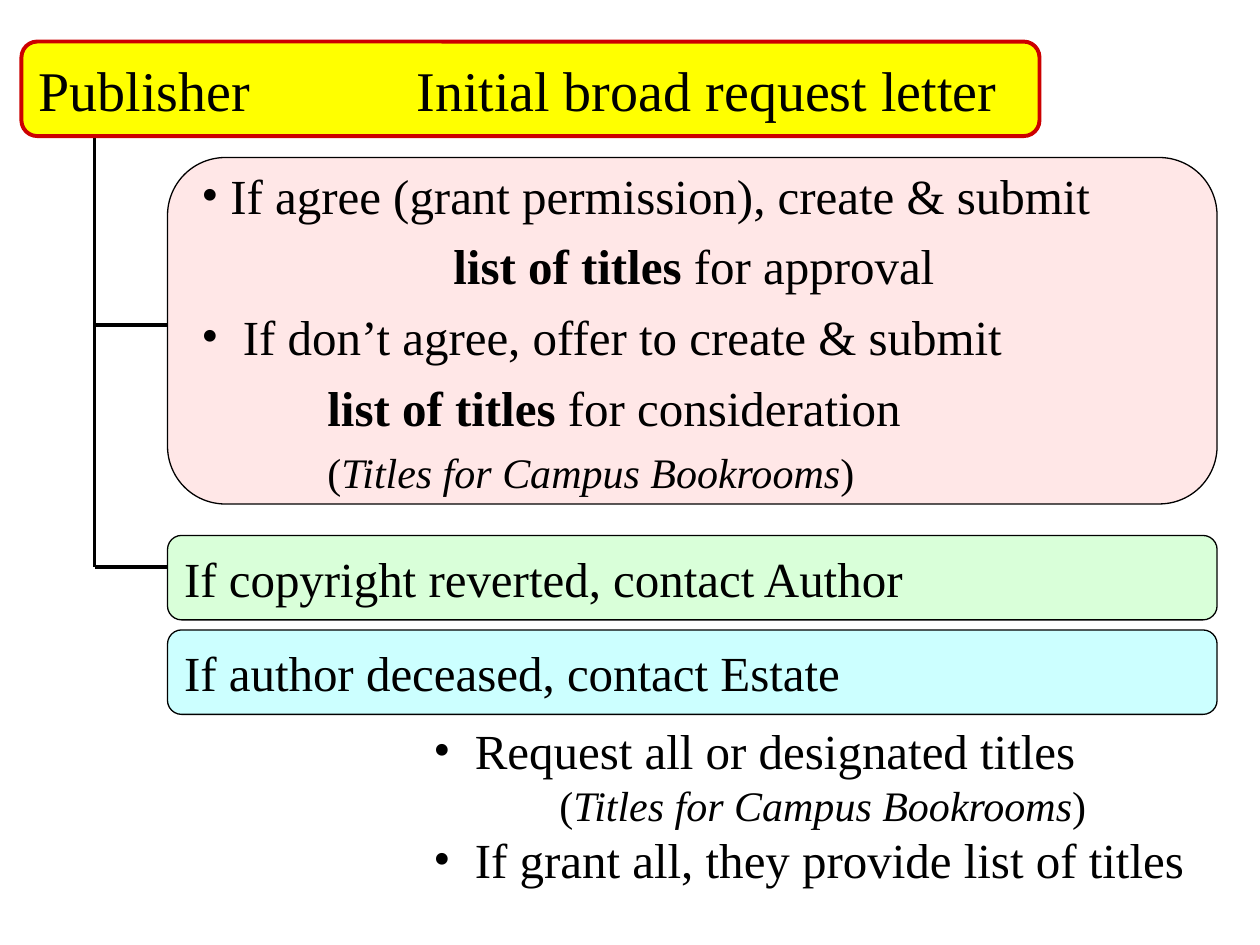
from pptx import Presentation
from pptx.dml.color import RGBColor
from pptx.enum.shapes import MSO_CONNECTOR, MSO_SHAPE
from pptx.enum.text import MSO_ANCHOR, PP_ALIGN
from pptx.oxml.ns import qn
from pptx.util import Inches, Pt
from lxml import etree

ROUNDED = MSO_SHAPE.ROUNDED_RECTANGLE
STRAIGHT = MSO_CONNECTOR.STRAIGHT
MIDDLE = MSO_ANCHOR.MIDDLE
LEFT = PP_ALIGN.LEFT

BLACK = RGBColor(0x00, 0x00, 0x00)
RED = RGBColor(0xCC, 0x00, 0x00)
YELLOW = RGBColor(0xFF, 0xFF, 0x00)
PINK = RGBColor(0xFF, 0xE7, 0xE7)
GREEN = RGBColor(0xD9, 0xFF, 0xD9)
CYAN = RGBColor(0xCC, 0xFF, 0xFF)
FONT = "Times New Roman"


def add_run(p, text, size, bold=False, italic=False):
    r = p.add_run()
    r.text = text
    r.font.name = FONT
    r.font.size = Pt(size)
    r.font.bold = bold
    r.font.italic = italic
    r.font.color.rgb = BLACK


def add_notes_box(s, left, top, width, height, spacing, lines):
    """Each line is (indent in inches, has bullet, size, runs)."""
    tf = s.shapes.add_textbox(Inches(left), Inches(top), Inches(width), Inches(height)).text_frame
    tf.word_wrap = True
    for i, (indent, bullet, size, runs) in enumerate(lines):
        p = tf.paragraphs[0] if i == 0 else tf.add_paragraph()
        p.line_spacing = spacing
        pPr = p._p.get_or_add_pPr()
        pPr.set("marL", str(Inches(indent)))
        pPr.set("indent", str(-Inches(indent) if bullet else 0))
        if bullet:
            etree.SubElement(pPr, qn("a:buFont")).set("typeface", FONT)
            etree.SubElement(pPr, qn("a:buChar")).set("char", "•")
        for text, bold, italic in runs:
            add_run(p, text, size, bold, italic)


prs = Presentation()
prs.slide_width = Inches(10)
prs.slide_height = Inches(7.5)
s = prs.slides.add_slide(prs.slide_layouts[6])

# Tree lines: trunk and two branches, behind the boxes
for x1, y1, x2, y2 in [
    (0.75, 1.08, 0.75, 4.5),
    (0.75, 2.58, 1.58, 2.58),
    (0.75, 4.5, 1.58, 4.5),
]:
    line = s.shapes.add_connector(STRAIGHT, Inches(x1), Inches(y1), Inches(x2), Inches(y2))
    line.line.color.rgb = BLACK
    line.line.width = Pt(2.25)
    etree.SubElement(line._element.spPr, qn("a:effectLst"))

# Rounded boxes
for left, top, width, height, fill, edge, weight, size, text in [
    (0.17, 0.33, 8.08, 0.75, YELLOW, RED, 2.25, 32, "Publisher\tInitial broad request letter"),
    (1.33, 1.25, 8.33, 2.75, PINK, BLACK, 0.75, 28, ""),
    (1.33, 4.25, 8.33, 0.67, GREEN, BLACK, 0.75, 28, "If copyright reverted, contact Author"),
    (1.33, 5, 8.33, 0.67, CYAN, BLACK, 0.75, 28, "If author deceased, contact Estate"),
]:
    box = s.shapes.add_shape(ROUNDED, Inches(left), Inches(top), Inches(width), Inches(height))
    box.shadow.inherit = False
    box.fill.solid()
    box.fill.fore_color.rgb = fill
    box.line.color.rgb = edge
    box.line.width = Pt(weight)
    if not text:
        continue
    tf = box.text_frame
    tf.word_wrap = True
    tf.vertical_anchor = MIDDLE
    p = tf.paragraphs[0]
    p.alignment = LEFT
    if "\t" in text:
        tabs = etree.SubElement(p._p.get_or_add_pPr(), qn("a:tabLst"))
        etree.SubElement(tabs, qn("a:tab"), pos=str(Inches(3)), algn="l")
    add_run(p, text, size)

# Publisher's answers
book = [("(", False, False), ("Titles for Campus Bookrooms", False, True), (")", False, False)]
add_notes_box(s, 1.5, 1.17, 8.17, 2.82, 1.2, [
    (0.23, True, 28, [("If agree (grant permission), create & submit", False, False)]),
    (2, False, 28, [("list of titles", True, False), (" for approval", False, False)]),
    (0.33, True, 28, [("If don’t agree, offer to create & submit", False, False)]),
    (1, False, 28, [("list of titles", True, False), (" for consideration", False, False)]),
    (1, False, 24, book),
])

# Request to author or estate
add_notes_box(s, 3.34, 5.67, 6.32, 1.5, 1, [
    (0.33, True, 28, [("Request all or designated titles", False, False)]),
    (1, False, 24, book),
    (0.33, True, 28, [("If grant all, they provide list of titles", False, False)]),
])

prs.save("out.pptx")
